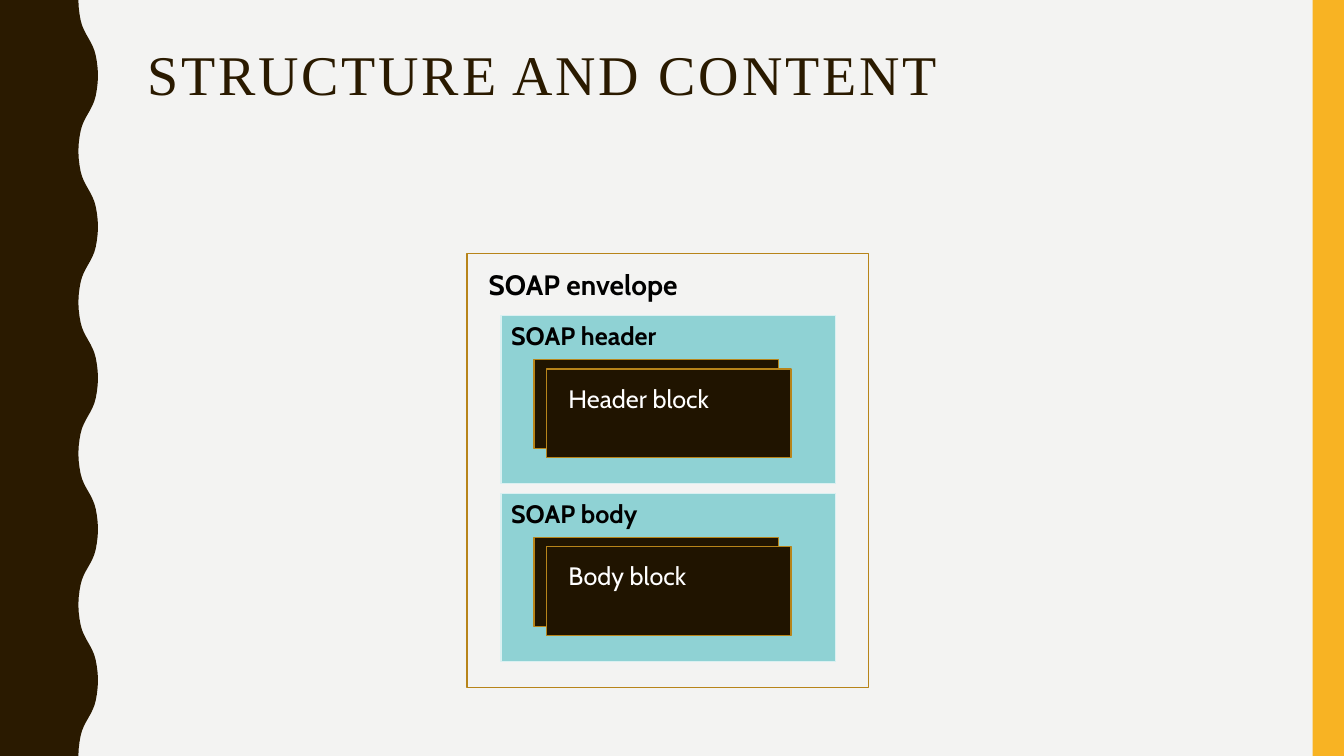
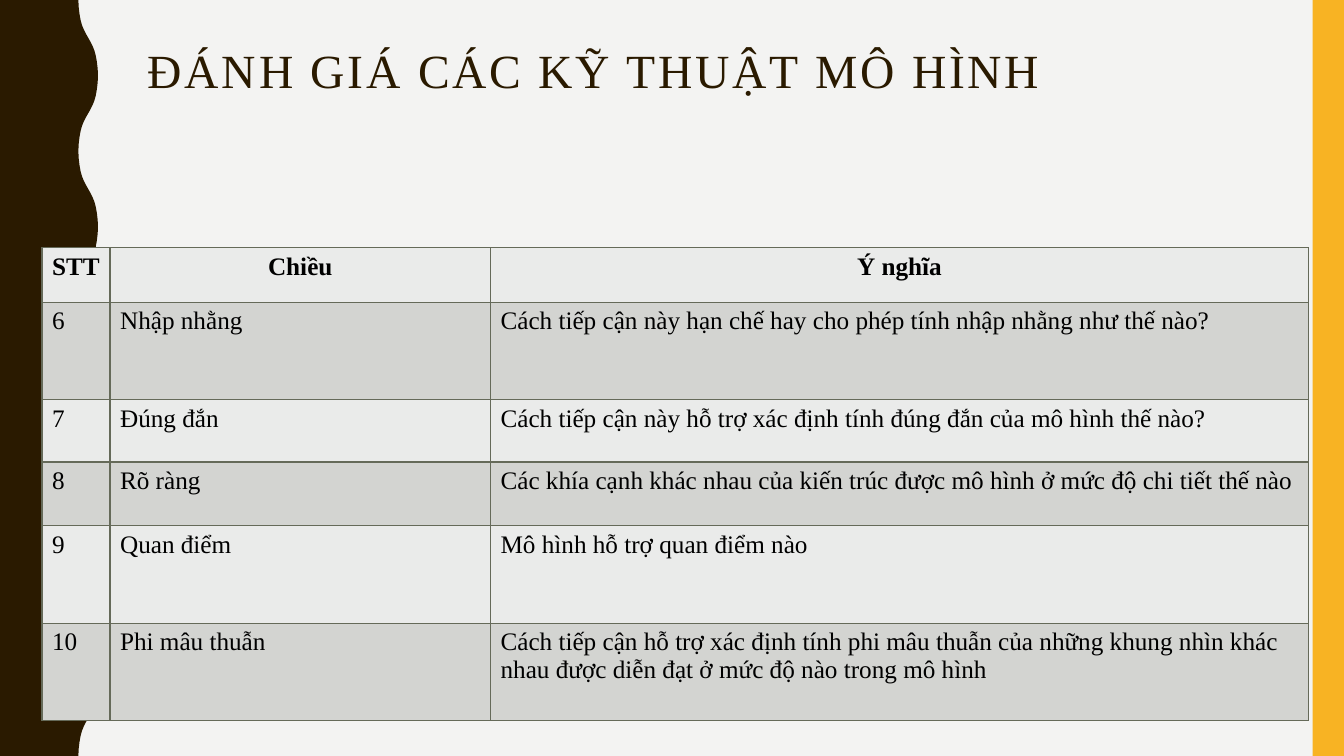
"""Build two slides: the structure of a SOAP message and a table of modelling criteria."""
from lxml.etree import SubElement
from pptx import Presentation
from pptx.dml.color import RGBColor
from pptx.enum.shapes import MSO_SHAPE
from pptx.enum.text import MSO_ANCHOR, PP_ALIGN
from pptx.oxml.ns import qn
from pptx.util import Pt

WIDTH, HEIGHT = 960, 540
COLORS = {
    "paper": "F3F3F2", "brown": "2A1A00", "yellow": "F8B323",
    "gold": "B7841A", "teal": "8FD2D4", "pale_teal": "DAF0F1",
    "block": "201400", "black": "000000", "white": "FFFFFF",
    "light_row": "EAEBEA", "dark_row": "D3D4D1", "border": "656A59",
}
SERIF, SANS = "Times New Roman", "Cabin"
WAVE_PERIOD, WAVE_MIDDLE = 108, 63
WAVE_QUARTER = [(56, 0), (56.2, 5), (56.8, 10), (57.6, 14.4),
                (58.6, 18), (59.8, 21), (61.3, 24), (63, 27)]

CRITERIA = [
    ("STT", "Chiều", "Ý nghĩa"),
    ("6", "Nhập nhằng",
     "Cách tiếp cận này hạn chế hay cho phép tính nhập nhằng như thế nào?"),
    ("7", "Đúng đắn",
     "Cách tiếp cận này hỗ trợ xác định tính đúng đắn của mô hình thế nào?"),
    ("8", "Rõ ràng",
     "Các khía cạnh khác nhau của kiến trúc được mô hình ở mức độ chi tiết thế nào"),
    ("9", "Quan điểm", "Mô hình hỗ trợ quan điểm nào"),
    ("10", "Phi mâu thuẫn",
     "Cách tiếp cận hỗ trợ xác định tính phi mâu thuẫn của những khung nhìn khác "
     "nhau được diễn đạt ở mức độ nào trong mô hình"),
]


def rgb(color):
    return RGBColor.from_string(COLORS[color])


def apply(target, values):
    for attribute, value in values.items():
        setattr(target, attribute, value)


def wave_edge():
    half = WAVE_QUARTER + [(2 * WAVE_MIDDLE - x, WAVE_PERIOD / 2 - y)
                           for x, y in WAVE_QUARTER[-2::-1]]
    period = half + [(x, WAVE_PERIOD - y) for x, y in half[-2::-1]]
    return [(x, y + start) for start in range(0, HEIGHT, WAVE_PERIOD)
            for x, y in period]


class Deck:
    def __init__(self):
        self.presentation = Presentation()
        apply(self.presentation,
              {"slide_width": Pt(WIDTH), "slide_height": Pt(HEIGHT)})
        self.slide = None

    def start_slide(self, title, size):
        self.slide = self.presentation.slides.add_slide(
            self.presentation.slide_layouts[6])
        background = self.slide.background.fill
        background.solid()
        background.fore_color.rgb = rgb("paper")
        self.wave()
        self.box(937.6, 0, 22.4, HEIGHT, fill="yellow")
        heading = self.label(title, 98.5, 30, 801.5, 117.5, size,
                             color="brown", font=SERIF)
        heading.line_spacing = 0.9
        heading.runs[0].font._element.set("spc", "200")

    def paint(self, shape, fill=None, line=None):
        shape.shadow.inherit = False
        for part, color in ((shape.fill, fill), (shape.line.fill, line)):
            if color:
                part.solid()
                part.fore_color.rgb = rgb(color)
            else:
                part.background()
        if line:
            shape.line.width = Pt(1)

    def wave(self):
        builder = self.slide.shapes.build_freeform(0, 0)
        outline = wave_edge() + [(0, HEIGHT)]
        builder.add_line_segments([(Pt(x), Pt(y)) for x, y in outline])
        self.paint(builder.convert_to_shape(), fill="brown")

    def box(self, left, top, width, height, fill=None, line=None):
        shape = self.slide.shapes.add_shape(
            MSO_SHAPE.RECTANGLE, Pt(left), Pt(top), Pt(width), Pt(height))
        self.paint(shape, fill, line)

    def fill_text(self, frame, text, size, color="black", font=SANS, bold=False,
                  align=PP_ALIGN.LEFT):
        paragraph = frame.paragraphs[0]
        paragraph.alignment = align
        run = paragraph.add_run()
        run.text = text
        apply(run.font, {"name": font, "size": Pt(size), "bold": bold})
        run.font.color.rgb = rgb(color)
        return paragraph

    def label(self, text, left, top, width, height, size, **style):
        frame = self.slide.shapes.add_textbox(
            Pt(left), Pt(top), Pt(width), Pt(height)).text_frame
        apply(frame, {"word_wrap": True, "vertical_anchor": MSO_ANCHOR.TOP})
        return self.fill_text(frame, text, size, **style)

    def section(self, top, heading, block):
        self.box(358, top, 239, 120, fill="teal", line="pale_teal")
        self.label(heading, 358, top, 150, 31, 18, bold=True)
        for left, offset in ((381.5, 31.5), (390.5, 38)):
            self.box(left, top + offset, 174.5, 63.5, fill="block", line="gold")
        self.label(block, 399, top + 44.5, 163, 31, 18, color="white")

    def border(self, cell):
        properties = cell._tc.get_or_add_tcPr()
        for side in ("a:lnL", "a:lnR", "a:lnT", "a:lnB"):
            edge = SubElement(properties, qn(side), w=str(Pt(1)))
            solid = SubElement(edge, qn("a:solidFill"))
            SubElement(solid, qn("a:srgbClr"), val=COLORS["border"])

    def table(self, rows, left, top, widths, heights):
        grid = self.slide.shapes.add_table(
            len(rows), len(widths), Pt(left), Pt(top),
            Pt(sum(widths)), Pt(sum(heights))).table
        apply(grid, {"first_row": False, "horz_banding": False})
        for column, width in zip(grid.columns, widths):
            column.width = Pt(width)
        for number, (row, height, texts) in enumerate(
                zip(grid.rows, heights, rows)):
            row.height = Pt(height)
            is_header = number == 0
            for cell, text in zip(row.cells, texts):
                self.border(cell)
                cell.fill.solid()
                cell.fill.fore_color.rgb = rgb(
                    "dark_row" if number % 2 else "light_row")
                self.fill_text(
                    cell.text_frame, text, 18, font=SERIF, bold=is_header,
                    align=PP_ALIGN.CENTER if is_header else PP_ALIGN.LEFT)


def main():
    deck = Deck()

    deck.start_slide("STRUCTURE AND CONTENT", 40)
    deck.box(333.5, 181, 287, 310, line="gold")
    deck.label("SOAP envelope", 342, 187.5, 188, 33, 20, bold=True)
    deck.section(225.5, "SOAP header", "Header block")
    deck.section(352.5, "SOAP body", "Body block")

    deck.start_slide("ĐÁNH GIÁ CÁC KỸ THUẬT MÔ HÌNH", 34)
    deck.table(CRITERIA, 30, 177, (48.6, 271.8, 584.2),
               (39, 69.6, 44.4, 45.6, 69.6, 69.6))

    deck.presentation.save("out.pptx")


if __name__ == "__main__":
    main()
